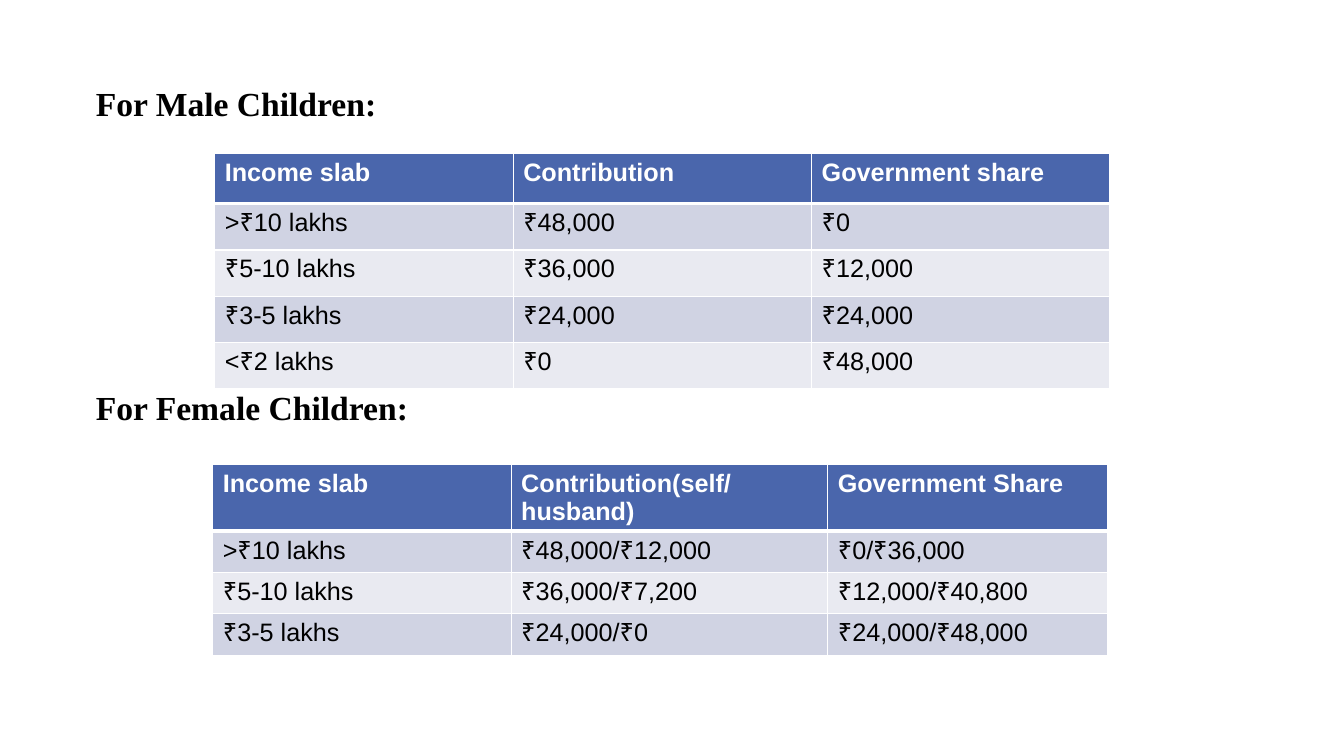
from lxml import etree
from pptx import Presentation
from pptx.dml.color import RGBColor
from pptx.enum.text import MSO_AUTO_SIZE, MSO_VERTICAL_ANCHOR, PP_ALIGN
from pptx.oxml.ns import qn
from pptx.util import Inches, Pt

NO_AUTOFIT = MSO_AUTO_SIZE.NONE
TOP = MSO_VERTICAL_ANCHOR.TOP
LEFT = PP_ALIGN.LEFT
TITLE_AND_CONTENT = 1

HEADINGS = [("For Male Children:", 10), ("For Female Children:", 191)]
MALE_ROWS = [
    ("Income slab", "Contribution", "Government share"),
    (">₹10 lakhs", "₹48,000", "₹0"),
    ("₹5-10 lakhs", "₹36,000", "₹12,000"),
    ("₹3-5 lakhs", "₹24,000", "₹24,000"),
    ("<₹2 lakhs", "₹0", "₹48,000"),
]
FEMALE_ROWS = [
    ("Income slab", "Contribution(self/husband)", "Government Share"),
    (">₹10 lakhs", "₹48,000/₹12,000", "₹0/₹36,000"),
    ("₹5-10 lakhs", "₹36,000/₹7,200", "₹12,000/₹40,800"),
    ("₹3-5 lakhs", "₹24,000/₹0", "₹24,000/₹48,000"),
]


def color(value):
    """Turn a hex string into a colour."""
    return RGBColor.from_string(value)


class SlideBuilder:
    """Hold the style and the current slide."""

    HEADING_FONT = "Times New Roman"
    TABLE_FONT = "Arial"
    HEADER_FILL = "4A66AC"
    BAND_FILLS = ("E9EAF1", "D0D3E3")
    WHITE = "FFFFFF"
    BLACK = "000000"

    def __init__(self, presentation):
        """Add a slide that keeps only its body placeholder."""
        layout = presentation.slide_layouts[TITLE_AND_CONTENT]
        self.slide = presentation.slides.add_slide(layout)
        title = self.slide.shapes.title.element
        title.getparent().remove(title)
        self.slide.background.fill.solid()
        self.slide.background.fill.fore_color.rgb = color(self.WHITE)

    def add_run(self, paragraph, text, font, size, text_color, bold):
        """Add one formatted run to a paragraph."""
        run = paragraph.add_run()
        run.text = text
        run.font.name = font
        run.font.size = Pt(size)
        run.font.bold = bold
        run.font.color.rgb = color(text_color)

    def add_headings(self, headings, left, top, width, height):
        """Place the headings in the body, spaced to clear the tables."""
        body = self.slide.placeholders[1]
        body.left, body.top = Inches(left), Inches(top)
        body.width, body.height = Inches(width), Inches(height)
        frame = body.text_frame
        frame.word_wrap = True
        frame.auto_size = NO_AUTOFIT
        frame.vertical_anchor = TOP
        for index, (text, space_before) in enumerate(headings):
            paragraph = frame.add_paragraph() if index else frame.paragraphs[0]
            paragraph.alignment = LEFT
            paragraph.line_spacing = 0.9
            paragraph.space_before = Pt(space_before)
            properties = paragraph._p.get_or_add_pPr()
            properties.set("marL", "0")
            properties.set("indent", "0")
            etree.SubElement(properties, qn("a:buNone"))
            self.add_run(paragraph, text, self.HEADING_FONT, 24, self.BLACK, True)

    def add_border(self, cell, side, width):
        """Draw one white cell border."""
        properties = cell._tc.get_or_add_tcPr()
        line = etree.SubElement(properties, qn(f"a:ln{side}"), w=str(Pt(width)))
        fill = etree.SubElement(line, qn("a:solidFill"))
        etree.SubElement(fill, qn("a:srgbClr"), val=self.WHITE)

    def format_cell(self, cell, text, row):
        """Fill, border and write one cell according to its row."""
        header = row == 0
        widths = {"L": 1, "R": 1, "T": 3 if row == 1 else 1, "B": 3 if header else 1}
        for side, width in widths.items():
            self.add_border(cell, side, width)
        cell.fill.solid()
        cell.fill.fore_color.rgb = color(self.HEADER_FILL if header else self.BAND_FILLS[row % 2])
        text_color = self.WHITE if header else self.BLACK
        self.add_run(cell.text_frame.paragraphs[0], text, self.TABLE_FONT, 18, text_color, header)

    def add_table(self, rows, left, top, column_widths, header_height, row_height):
        """Add a banded table with a header row."""
        heights = [header_height] + [row_height] * (len(rows) - 1)
        table = self.slide.shapes.add_table(
            len(rows), len(column_widths), Inches(left), Inches(top),
            Inches(sum(column_widths)), Inches(sum(heights)),
        ).table
        table.horz_banding = False
        for column, width in zip(table.columns, column_widths):
            column.width = Inches(width)
        for row, (texts, height) in enumerate(zip(rows, heights)):
            table.rows[row].height = Inches(height)
            for column, text in enumerate(texts):
                self.format_cell(table.cell(row, column), text, row)


def main():
    """Build and save the presentation."""
    presentation = Presentation()
    presentation.slide_width = Inches(13.33)
    presentation.slide_height = Inches(7.5)
    builder = SlideBuilder(presentation)
    builder.add_headings(HEADINGS, 0.85, 0.82, 11.5, 5.6)
    builder.add_table(MALE_ROWS, 2.13, 1.52, [2.96] * 3, 0.5, 0.46)
    builder.add_table(FEMALE_ROWS, 2.11, 4.61, [2.96, 3.14, 2.78], 0.41, 0.41)
    presentation.save("out.pptx")


if __name__ == "__main__":
    main()
